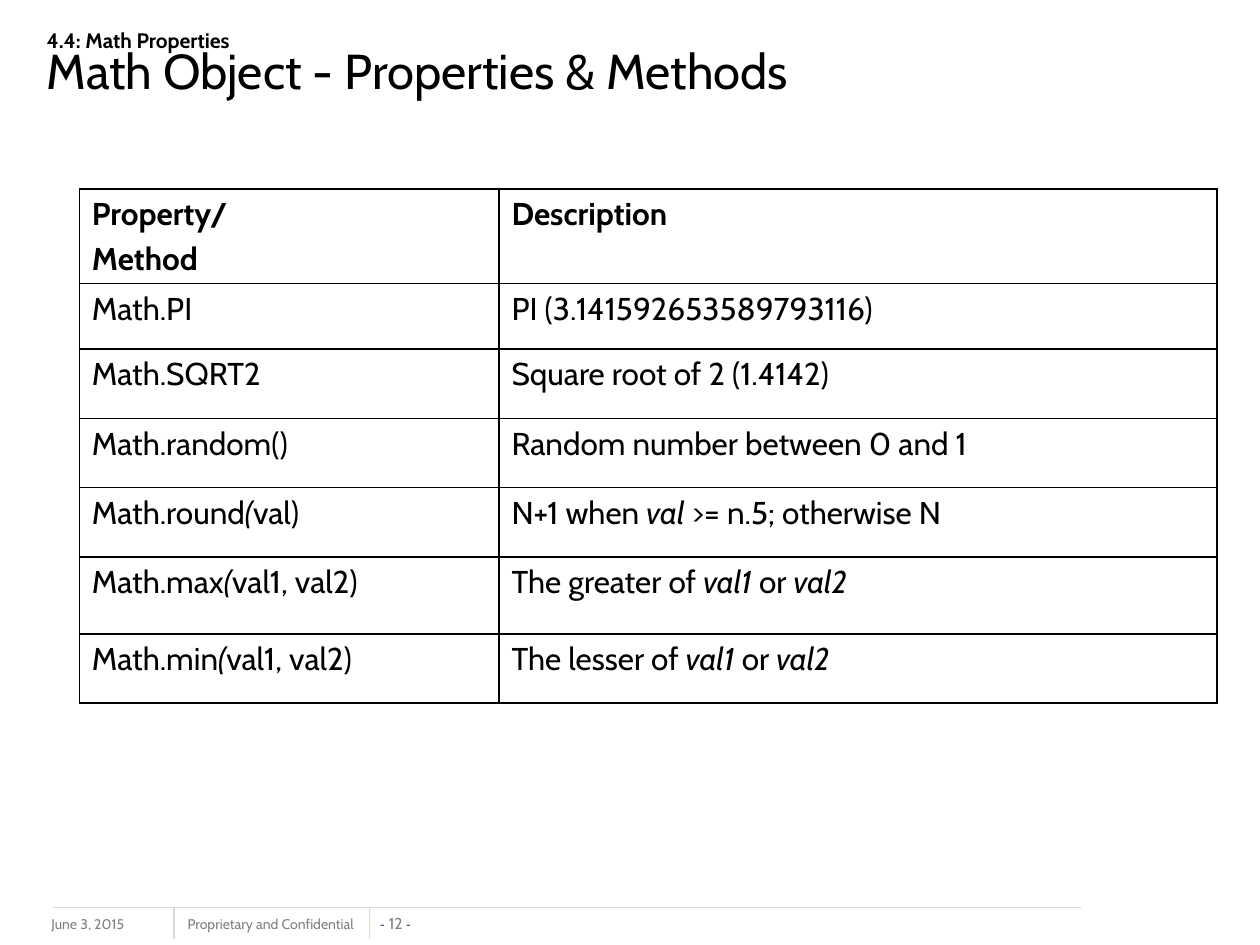
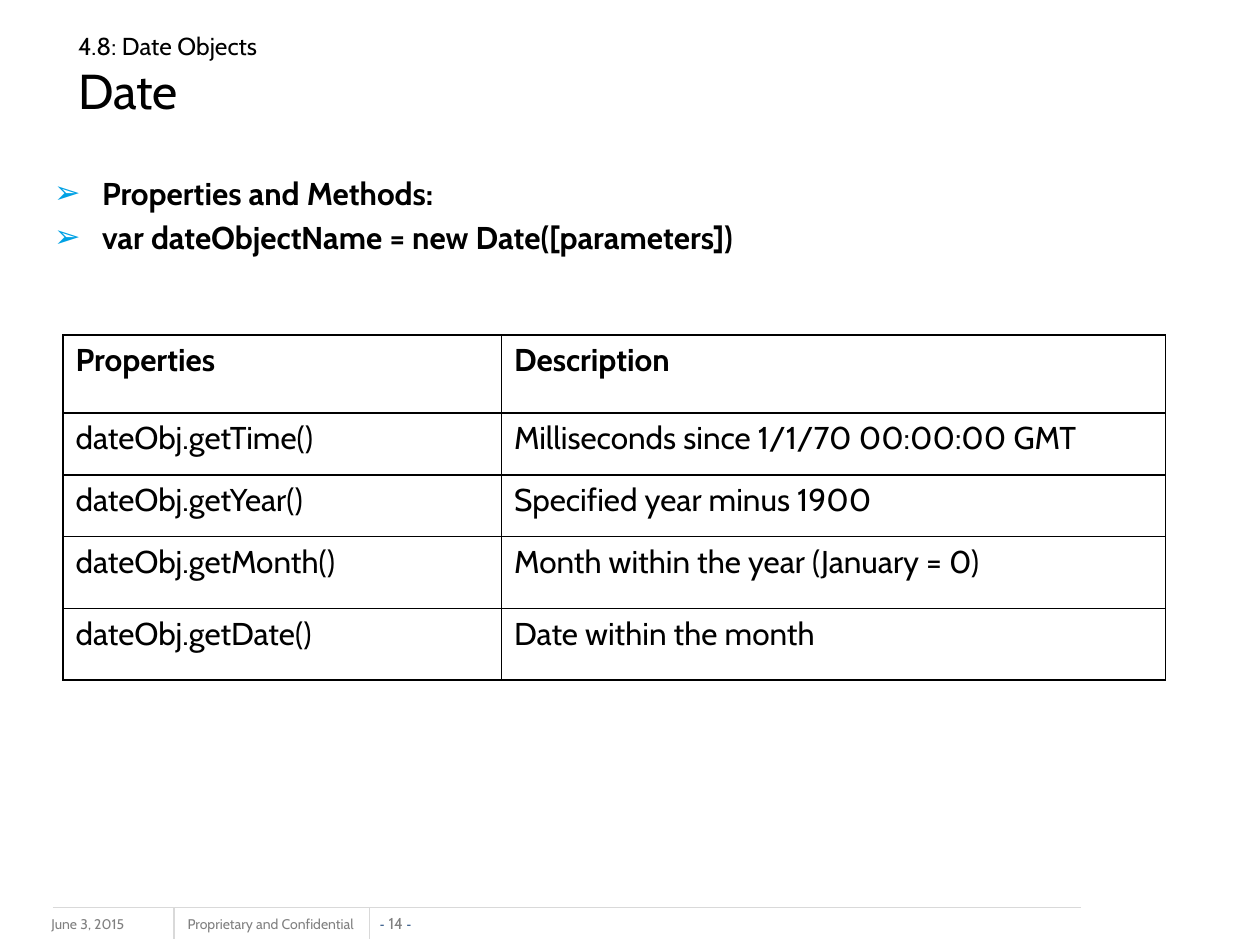
"""Build two slides on the Math and Date objects of JavaScript."""
from dataclasses import dataclass

from lxml.etree import SubElement as Sub
from pptx import Presentation
from pptx.dml.color import RGBColor as Rgb
from pptx.enum.shapes import MSO_CONNECTOR as Conn
from pptx.enum.text import MSO_ANCHOR as Anchor, MSO_AUTO_SIZE as Fit, PP_ALIGN as Align
from pptx.oxml.ns import qn
from pptx.slide import Slide
from pptx.util import Inches, Pt


@dataclass(frozen=True)
class Theme:
    font: str = "Cabin"
    dash_font: str = "Arial"
    ink: str = "000000"
    gray: str = "808080"
    rule: str = "D9D9D9"
    dash: str = "1F497D"
    mark: str = "00A1E4"
    title: float = 28
    text: float = 18
    note: float = 8
    page: float = 9
    gap: float = 3.6
    indent: float = 0.38


@dataclass(frozen=True)
class Box:
    left: float
    top: float
    width: float
    height: float

    def emu(self) -> list:
        return [Inches(x) for x in (self.left, self.top, self.width, self.height)]


@dataclass(frozen=True)
class Head:
    topic: str
    name: str
    box: Box
    size: float
    bold: bool = False
    lead: float = 1.0


@dataclass(frozen=True)
class Grid:
    left: float
    top: float
    cols: tuple
    rows: tuple
    cells: tuple


T = Theme()
RULES = ((0.42, 7.2, 8.58, 7.2), (1.38, 7.2, 1.38, 7.45), (2.93, 7.2, 2.93, 7.45))

MATH_HEAD = Head("4.4: Math Properties", "Math Object - Properties & Methods",
                 Box(0.27, 0.13, 8.92, 0.78), 12, True, 0.8)
MATH = Grid(0.63, 1.5, (3.33, 5.7), (0.75, 0.52, 0.55, 0.55, 0.55, 0.61, 0.55), (
    ("Property/\nMethod", "Description"),
    ("Math.PI", "PI (3.141592653589793116)"),
    ("Math.SQRT2", "Square root of 2 (1.4142)"),
    ("Math.random()", "Random number between 0 and 1"),
    ("Math.round*(*val)", "N+1 when *val *>= n.5; otherwise N"),
    ("Math.max*(*val1, val2)", "The greater of *val1 *or *val2*"),
    ("Math.min*(*val1, val2)", "The lesser of *val1 *or *val2*"),
))

DATE_HEAD = Head("4.8: Date Objects", "Date", Box(0.52, 0.17, 9, 0.86), 14)
DATE_LIST = ("Properties and Methods:", "var dateObjectName = new Date([parameters])")
DATE = Grid(0.5, 2.66, (3.48, 5.27), (0.62, 0.49, 0.49, 0.57, 0.57), (
    ("Properties", "Description"),
    ("dateObj.getTime()", "Milliseconds since 1/1/70 00:00:00 GMT"),
    ("dateObj.getYear()", "Specified year minus 1900"),
    ("dateObj.getMonth()", "Month within the year (January = 0)"),
    ("dateObj.getDate()", "Date within the month"),
))


def style(run, size: float, color: str = T.ink, bold: bool = False,
          font: str = T.font) -> None:
    run.font.name, run.font.size, run.font.bold = font, Pt(size), bold
    run.font.color.rgb = Rgb.from_string(color)


def place(shape, box: Box) -> None:
    shape.left, shape.top, shape.width, shape.height = box.emu()


def hang(para, first: bool) -> None:
    props = para._p.get_or_add_pPr()
    props.set("marL", str(Inches(T.indent)))
    props.set("indent", str(-Inches(T.indent)))
    para.space_before = Pt(0 if first else T.gap)


def bullet(para) -> None:
    props = para._p.get_or_add_pPr()
    Sub(Sub(props, qn("a:buClr")), qn("a:srgbClr"), val=T.mark)
    Sub(props, qn("a:buFont"), typeface=T.dash_font)
    Sub(props, qn("a:buChar"), char="➢")


def add_head(slide: Slide, head: Head) -> None:
    shape = slide.shapes.title
    place(shape, head.box)
    frame = shape.text_frame
    frame.auto_size, frame.vertical_anchor = Fit.NONE, Anchor.MIDDLE
    para = frame.paragraphs[0]
    para.text = f"{head.topic}\v{head.name}"
    para.alignment, para.line_spacing = Align.LEFT, head.lead
    topic, name = para.runs
    style(topic, head.size, bold=head.bold)
    style(name, T.title)
    Sub(para._p.find(qn("a:br")), qn("a:rPr"), sz=str(head.size * 100))


def add_list(slide: Slide, items: tuple, box: Box) -> None:
    shape = slide.placeholders[1]
    place(shape, box)
    frame = shape.text_frame
    frame.auto_size = Fit.NONE
    frame.text = "\n".join(items)
    for i, para in enumerate(frame.paragraphs):
        hang(para, i == 0)
        bullet(para)
        style(para.runs[0], T.text, bold=True)


def border(cell) -> None:
    props = cell._tc.get_or_add_tcPr()
    for i, side in enumerate(("lnL", "lnR", "lnT", "lnB")):
        line = props.makeelement(qn(f"a:{side}"), {"w": str(Pt(1))})
        Sub(Sub(line, qn("a:solidFill")), qn("a:srgbClr"), val=T.ink)
        props.insert(i, line)


def fill_cell(cell, text: str, bold: bool) -> None:
    cell.fill.background()
    border(cell)
    frame = cell.text_frame
    for i, row in enumerate(text.split("\n")):
        para = frame.add_paragraph() if i else frame.paragraphs[0]
        hang(para, i == 0)
        for j, part in enumerate(row.split("*")):
            if part:
                run = para.add_run()
                run.text = part
                style(run, T.text, bold=bold)
                run.font.italic = j % 2 == 1


def add_grid(slide: Slide, grid: Grid) -> None:
    box = Box(grid.left, grid.top, sum(grid.cols), sum(grid.rows))
    table = slide.shapes.add_table(len(grid.rows), len(grid.cols), *box.emu()).table
    table.first_row = table.horz_banding = False
    for col, width in zip(table.columns, grid.cols):
        col.width = Inches(width)
    for r, (row, high) in enumerate(zip(table.rows, grid.rows)):
        row.height = Inches(high)
        for cell, text in zip(row.cells, grid.cells[r]):
            fill_cell(cell, text, r == 0)


def add_note(slide: Slide, box: Box, text: str, wrap: bool = False):
    frame = slide.shapes.add_textbox(*box.emu()).text_frame
    frame.word_wrap = wrap
    frame.text = text
    style(frame.paragraphs[0].runs[0], T.note, T.gray)
    return frame


def add_foot(slide: Slide, page: int) -> None:
    add_note(slide, Box(0.31, 7.22, 1.33, 0.25), "June 3, 2015", True)
    add_note(slide, Box(1.39, 7.22, 1.57, 0.24), "Proprietary and Confidential")
    frame = add_note(slide, Box(3.01, 7.25, 0.26, 0.15), "- ")
    frame.margin_left = frame.margin_right = frame.margin_top = frame.margin_bottom = 0
    frame.vertical_anchor = Anchor.BOTTOM
    para = frame.paragraphs[0]
    para.alignment = Align.CENTER
    for part in (f"{page} ", "-"):
        para.add_run().text = part
    dash, num, end = para.runs
    style(num, T.page, T.gray)
    for run in (dash, end):
        style(run, T.note, T.dash, font=T.dash_font)
    for ends in RULES:
        line = slide.shapes.add_connector(Conn.STRAIGHT, *map(Inches, ends))
        line.line.color.rgb = Rgb.from_string(T.rule)
        line.line.width = Pt(0.75)
        Sub(line._element.spPr, qn("a:effectLst"))


def main() -> None:
    deck = Presentation()
    deck.slide_width, deck.slide_height = Inches(10), Inches(7.5)

    math = deck.slides.add_slide(deck.slide_layouts[5])
    add_foot(math, 12)
    add_grid(math, MATH)
    add_head(math, MATH_HEAD)

    date = deck.slides.add_slide(deck.slide_layouts[1])
    add_foot(date, 14)
    add_head(date, DATE_HEAD)
    add_list(date, DATE_LIST, Box(0.33, 1.33, 8.67, 4.95))
    add_grid(date, DATE)

    deck.save("out.pptx")


if __name__ == "__main__":
    main()
